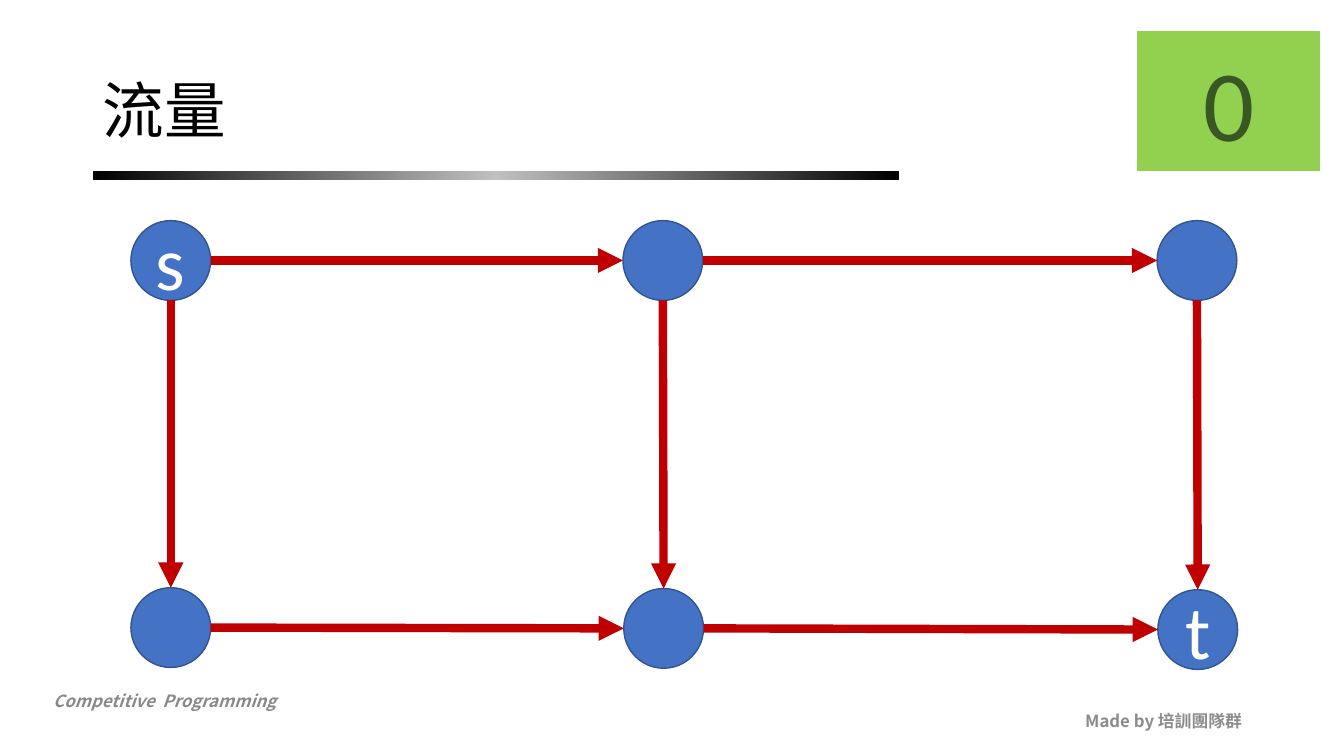
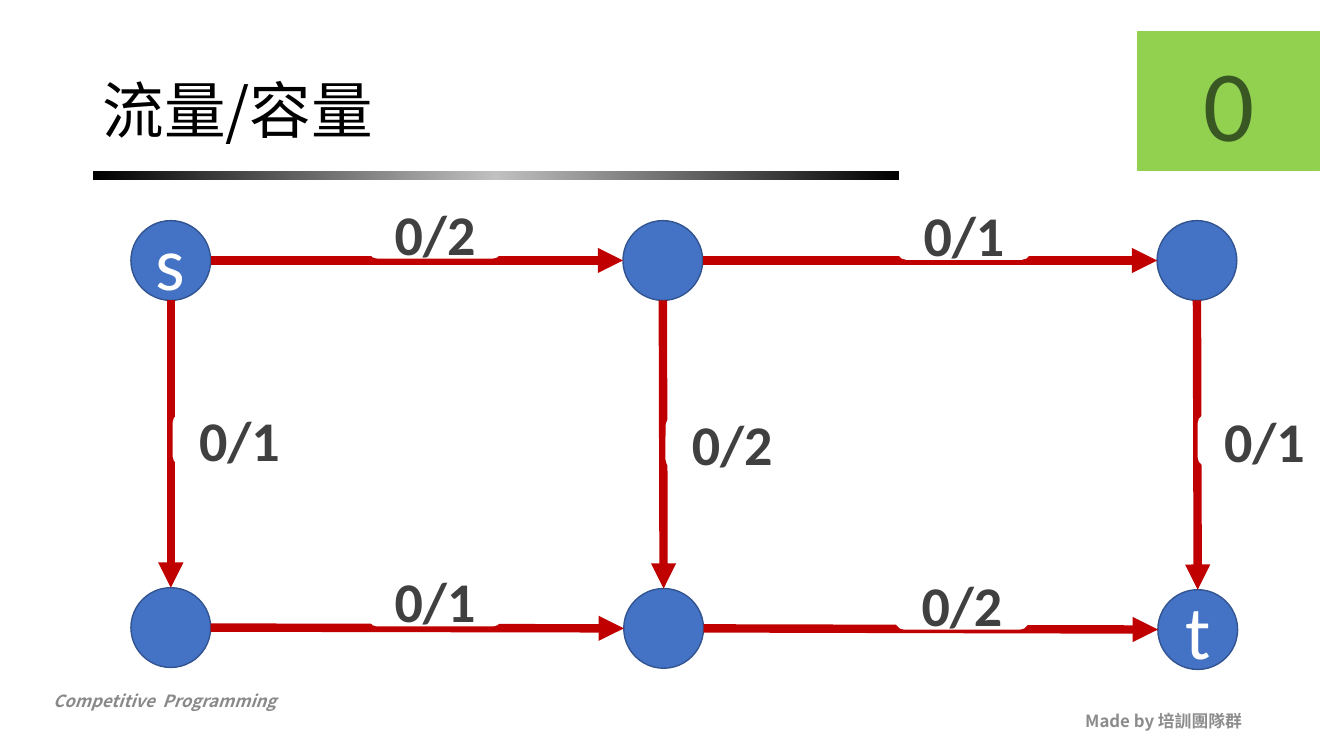
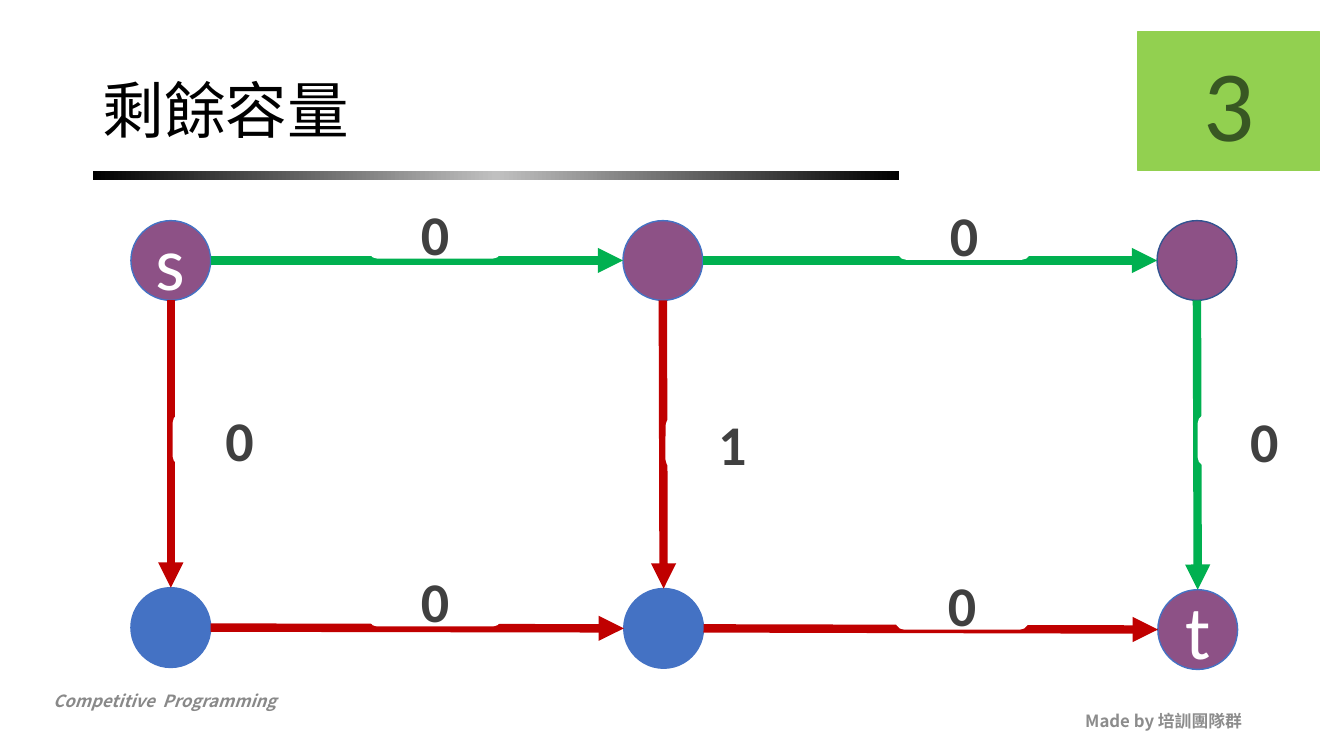
"""Build three slides that show a flow network, its flows and its residual capacities."""
import copy

import pptx
import pptx.dml.color
import pptx.enum.shapes
import pptx.enum.text
import pptx.oxml
import pptx.oxml.ns
import pptx.util

Cm = pptx.util.Cm
Pt = pptx.util.Pt
SHAPE = pptx.enum.shapes.MSO_SHAPE
ALIGN = pptx.enum.text.PP_ALIGN
ANCHOR = pptx.enum.text.MSO_ANCHOR
color = pptx.dml.color.RGBColor.from_string
qn = pptx.oxml.ns.qn

LATIN, CJK = "Calibri", "Noto Sans CJK SC"
BLUE, NAVY, PURPLE = "4472C4", "325491", "8D5186"
RED, GREEN, LIME, WHITE = "C00000", "00B050", "92D050", "FFFFFF"


def add_block(page, kind, place, fill, outline):
    block = page.shapes.add_shape(kind, *[Cm(length) for length in place])
    block.shadow.inherit = False
    block.fill.solid()
    block.fill.fore_color.rgb = color(fill)
    block.line.color.rgb = color(outline)
    block.line.width = Pt(1)
    return block


def write(box, text, size, ink, face, align=ALIGN.CENTER, bold=False, italic=False, anchor=ANCHOR.MIDDLE):
    frame = box.text_frame
    frame.text = text
    frame.word_wrap = True
    frame.auto_size = pptx.enum.text.MSO_AUTO_SIZE.NONE
    frame.vertical_anchor = anchor
    para = frame.paragraphs[0]
    para.alignment = align
    for span in para.runs:
        span.font.size = Pt(size)
        span.font.bold = bold
        span.font.italic = italic
        span.font.color.rgb = color(ink)
        span.font.name = face
        east_asian = pptx.oxml.parse_xml(f'<a:ea {pptx.oxml.ns.nsdecls("a")} typeface="{face}"/>')
        span.font._element.find(qn("a:latin")).addnext(east_asian)
    return para


NODE_SIZE = 2.01
NODES = {
    "c": (3.3, 14.81, ""),
    "s": (3.3, 5.56, "s"),
    "a": (15.7, 5.56, ""),
    "d": (15.72, 14.83, ""),
    "b": (29.16, 5.56, ""),
    "t": (29.18, 14.86, "t"),
}
EDGES = {
    "sa": (9.3, 5.23),
    "cd": (9.3, 14.5),
    "sc": (4.37, 10.44),
    "ab": (22.63, 5.26),
    "ad": (16.79, 10.52),
    "dt": (22.58, 14.58),
    "bt": (30.2, 10.46),
}
VIEWS = [
    ("流量", "0", {}, ""),
    ("流量/容量", "0", {"sa": "0/2", "cd": "0/1", "sc": "0/1", "ab": "0/1", "ad": "0/2", "dt": "0/2", "bt": "0/1"}, ""),
    ("剩餘容量", "3", {"sa": "0", "cd": "0", "sc": "0", "ab": "0", "ad": "1", "dt": "0", "bt": "0"}, "sabt"),
]

deck = pptx.Presentation()
deck.slide_width, deck.slide_height = Cm(33.87), Cm(19.05)
layout = deck.slide_layouts[5]
for holder in list(layout.placeholders)[1:]:
    holder.element.getparent().remove(holder.element)
heading = layout.placeholders[0]
heading.left, heading.top, heading.width, heading.height = Cm(2.33), Cm(1.02), Cm(29.21), Cm(3.68)

pages = [deck.slides.add_slide(layout) for view in VIEWS]

course = pages[0].shapes.add_textbox(Cm(1.09), Cm(17.27), Cm(10.8), Cm(0.76))
write(course, "Competitive  Programming", 12, "898989", CJK, ALIGN.LEFT, True, True, ANCHOR.TOP)
credit = pages[0].shapes.add_textbox(Cm(23.93), Cm(17.65), Cm(7.62), Cm(1.02))
write(credit, "Made by 培訓團隊群", 12, "8C8C8C", CJK, ALIGN.RIGHT, True)
rule = add_block(pages[0], SHAPE.RECTANGLE, (2.34, 4.32, 20.32, 0.23), "000000", "000000")
rule.line.fill.background()
rule.fill.gradient()
rule.fill.gradient_angle = 0
stops = rule.element.spPr.find(qn("a:gradFill")).find(qn("a:gsLst"))
stops.append(copy.deepcopy(stops[1]))
for stop, position, shade in zip(rule.fill.gradient_stops, (0, 0.5, 1), ("000000", "C0C0C0", "000000")):
    stop.position = position
    stop.color.rgb = color(shade)
for shared in (course, credit, rule):
    layout.shapes.element.append(shared.element)

for page, (title, total, labels, route) in zip(pages, VIEWS):
    write(page.shapes.title, title, 44, "000000", CJK, ALIGN.LEFT).line_spacing = 0.9

    nodes = {}
    for name, (left, top, letter) in NODES.items():
        fill = PURPLE if name in route else BLUE
        outline = BLUE if route and name != "b" else NAVY
        nodes[name] = add_block(page, SHAPE.OVAL, (left, top, NODE_SIZE, NODE_SIZE), fill, outline)
        if letter:
            write(nodes[name], letter, 54, WHITE, LATIN)

    for edge in EDGES:
        start, end = nodes[edge[0]], nodes[edge[1]]
        half = start.width // 2
        across = end.left - start.left > start.width
        if across:
            ends = (start.left + start.width, start.top + half, end.left, end.top + half)
        else:
            ends = (start.left + half, start.top + start.height, end.left + half, end.top)
        arrow = page.shapes.add_connector(pptx.enum.shapes.MSO_CONNECTOR.STRAIGHT, *ends)
        arrow.line.color.rgb = color(GREEN if edge in route else RED)
        arrow.line.width = Pt(6)
        arrow.line._get_or_add_ln().append(
            pptx.oxml.parse_xml(f'<a:tailEnd {pptx.oxml.ns.nsdecls("a")} type="triangle"/>'))
        arrow.element.spPr.append(pptx.oxml.parse_xml(f'<a:effectLst {pptx.oxml.ns.nsdecls("a")}/>'))

    badge = add_block(page, SHAPE.RECTANGLE, (28.68, 0.79, 4.57, 3.51), LIME, LIME)
    write(badge, total, 72, "385723", LATIN)

    for edge, text in labels.items():
        label = add_block(page, SHAPE.ROUNDED_RECTANGLE, (*EDGES[edge], 3.33, 1.27), WHITE, WHITE)
        write(label, text, 40, "404040", LATIN, bold=True)

deck.save("out.pptx")
